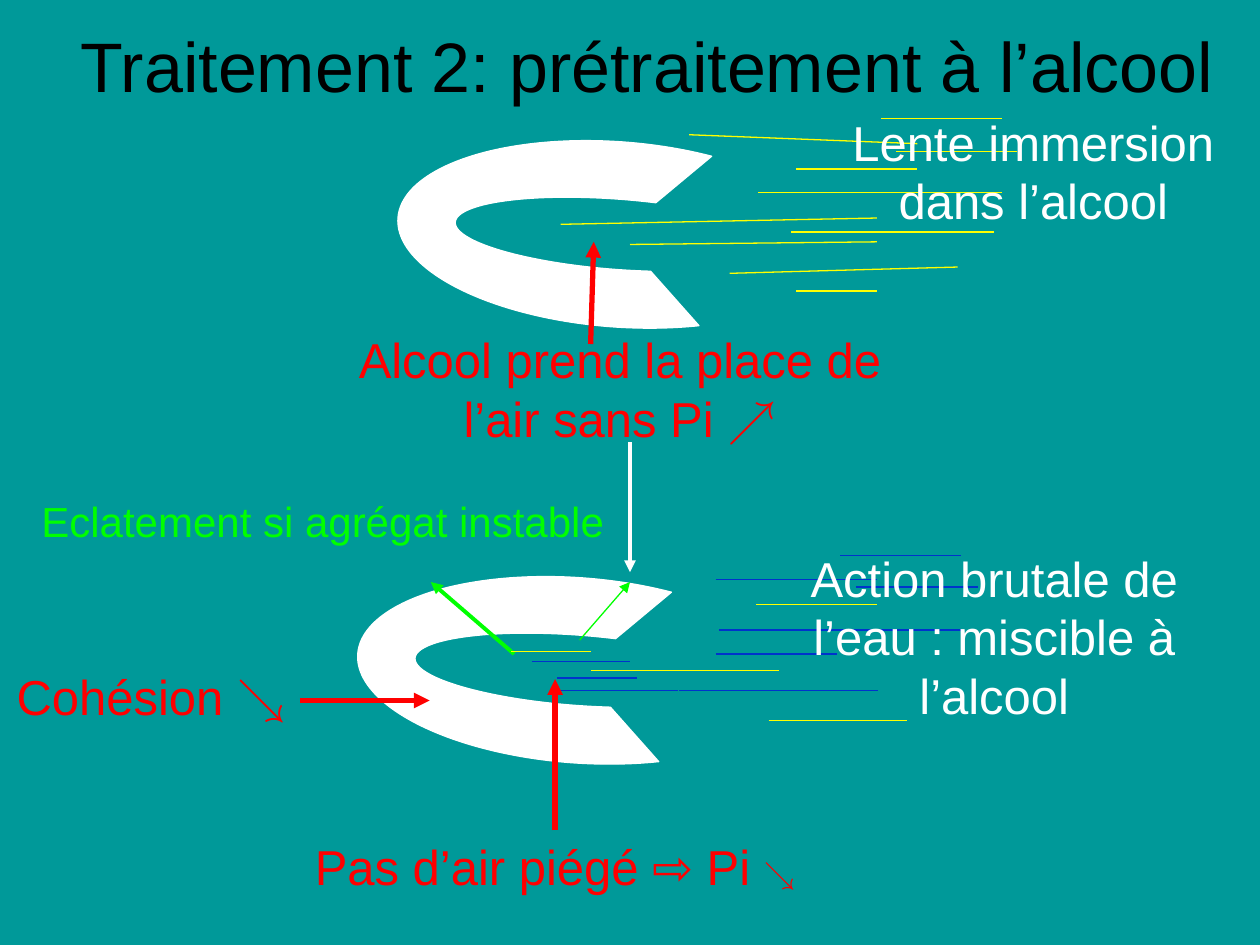
"""Build the slide on pretreating soil aggregates with alcohol."""
from dataclasses import dataclass

from lxml import etree
from pptx import Presentation
from pptx.dml.color import RGBColor
from pptx.enum import shapes, text
from pptx.oxml import ns
from pptx.util import Pt


@dataclass(frozen=True)
class Theme:
    """Colours, font and type sizes."""
    back: str = "009999"
    title: str = "000000"
    white: str = "FFFFFF"
    alcohol: str = "FFFF00"
    water: str = "0033CC"
    effect: str = "FF0000"
    burst: str = "00FF00"
    font: str = "Arial"
    title_size: float = 40
    body_size: float = 28
    note_size: float = 24
    small_size: float = 18
    thin: float = 0.75
    medium: float = 2.25
    thick: float = 3


def write(tf, *parts, size, color, font, align=text.PP_ALIGN.CENTER,
          anchor=text.MSO_ANCHOR.TOP):
    """Fill a text frame; a part is a string or a (string, size) pair."""
    tf.word_wrap = True
    tf.auto_size = text.MSO_AUTO_SIZE.NONE
    tf.vertical_anchor = anchor
    p = tf.paragraphs[0]
    p.alignment = align
    for part in parts:
        words, points = (part, size) if isinstance(part, str) else part
        r = p.add_run()
        r.text = words
        r.font.name = font
        r.font.size = Pt(points)
        r.font.color.rgb = RGBColor.from_string(color)


class Sketch:
    """Draws themed elements on one slide, in points."""

    def __init__(self, prs, theme):
        self.theme = theme
        self.s = prs.slides.add_slide(prs.slide_layouts[5])
        fill = self.s.background.fill
        fill.solid()
        fill.fore_color.rgb = RGBColor.from_string(theme.back)

    def title(self, words, x, y, w, h):
        """Place and fill the title."""
        sp = self.s.shapes.title
        sp.left, sp.top, sp.width, sp.height = map(Pt, (x, y, w, h))
        write(sp.text_frame, words, size=self.theme.title_size,
              color=self.theme.title, font=self.theme.font,
              anchor=text.MSO_ANCHOR.MIDDLE)

    def label(self, *parts, at, color, size=None, **fmt):
        """Add a text box."""
        sp = self.s.shapes.add_textbox(*map(Pt, at))
        write(sp.text_frame, *parts, size=size or self.theme.body_size,
              color=color, font=self.theme.font, **fmt)
        return sp

    def aggregate(self, x, y):
        """Add an open ring that stands for a soil aggregate."""
        sp = self.s.shapes.add_shape(
            shapes.MSO_SHAPE.BLOCK_ARC, Pt(x), Pt(y), Pt(105.8), Pt(252))
        for i, value in enumerate((80.45, 27.55, 0.31)):
            sp.adjustments[i] = value
        sp.rotation = 274.3
        sp.shadow.inherit = False
        white = RGBColor.from_string(self.theme.white)
        sp.fill.solid()
        sp.fill.fore_color.rgb = white
        sp.line.color.rgb = white
        sp.line.width = Pt(self.theme.thin)

    def line(self, x1, y1, x2, y2, color, width=None, arrow=False):
        """Add a straight line, with an arrowhead at its end if asked."""
        c = self.s.shapes.add_connector(
            shapes.MSO_CONNECTOR.STRAIGHT, *map(Pt, (x1, y1, x2, y2)))
        c.line.color.rgb = RGBColor.from_string(color)
        c.line.width = Pt(width or self.theme.thin)
        if arrow:
            etree.SubElement(c.line._get_or_add_ln(), ns.qn("a:tailEnd"),
                             type="triangle")
        etree.SubElement(c._element.spPr, ns.qn("a:effectLst"))
        return c

    def arrow(self, x1, y1, x2, y2, color, width):
        """Add an arrow."""
        return self.line(x1, y1, x2, y2, color, width, arrow=True)

    def streaks(self, color, *rows):
        """Add level liquid streaks given as (left, y, right)."""
        for x1, y, x2 in rows:
            self.line(x1, y, x2, y, color)


def main():
    """Draw the slide and save it."""
    prs = Presentation()
    prs.slide_width, prs.slide_height = Pt(720), Pt(540)
    t = Theme()
    d = Sketch(prs, t)
    d.title("Traitement 2: prétraitement à l’alcool", 19.4, 9.4, 700.6, 55.4)

    d.aggregate(300.2, 7.9)
    for ends in ((393.8, 77, 524.2, 82.1), (320.4, 128.2, 501.1, 124.6),
                 (360, 139.7, 501.1, 138.2), (416.9, 156.2, 547.2, 152.6)):
        d.line(*ends, t.alcohol)
    d.streaks(t.alcohol, (433.4, 110.2, 572.4), (455, 96.5, 524.2),
              (503.3, 67.7, 572.4), (511.9, 86.4, 581),
              (455, 166.3, 501.1), (452.2, 132.5, 568.1))
    d.label("Lente immersion dans l’alcool",
            at=(463.7, 60.5, 253.4, 42.5), color=t.white)
    d.arrow(337.5, 196.6, 339.3, 138.2, t.effect, t.thick)
    d.label("Alcool prend la place de l’air sans Pi ↗",
            at=(184.3, 185, 339.8, 76.3), color=t.effect)
    d.arrow(360, 252.7, 360, 326.9, t.white, t.medium)

    d.aggregate(277.2, 257)
    d.streaks(t.water, (409, 331.2, 501.1), (409, 373.7, 478.1),
              (411.1, 360, 549.4), (480.2, 317.5, 549.4),
              (488.9, 335.5, 558.7), (318.2, 394.6, 387.4),
              (318.2, 387.4, 364.3), (303.8, 378, 360))
    d.streaks(t.alcohol, (432, 345.6, 501.1))
    d.label("Action brutale de l’eau : miscible à l’alcool",
            at=(441.4, 309.6, 253.4, 42.5), color=t.white)
    trapped = d.label("Pas d’air piégé ⇨ Pi ", ("↘", t.small_size),
                      at=(172.1, 474.5, 290.2, 42.5), color=t.effect)
    rise = d.arrow(317.2, 474.5, 317.2, 388.1, t.effect, t.thick)
    rise.begin_connect(trapped, 0)
    d.arrow(293.8, 373.7, 246.2, 332.6, t.burst, t.medium)
    d.arrow(331.2, 365.8, 360, 332.6, t.burst, t.thin)
    d.arrow(171.4, 400.3, 245.5, 400.3, t.effect, t.thick)
    d.label("Cohésion ↘", at=(0, 377.3, 172.8, 85), color=t.effect)
    d.label("Eclatement si agrégat instable", at=(16.6, 279.4, 360, 36),
            color=t.burst, size=t.note_size, align=text.PP_ALIGN.LEFT)
    d.streaks(t.water, (388.1, 394.6, 501.8))
    d.streaks(t.alcohol, (337.7, 383, 445), (439.2, 411.8, 518.4),
              (292.3, 372.2, 337.7))
    prs.save("out.pptx")


if __name__ == "__main__":
    main()
